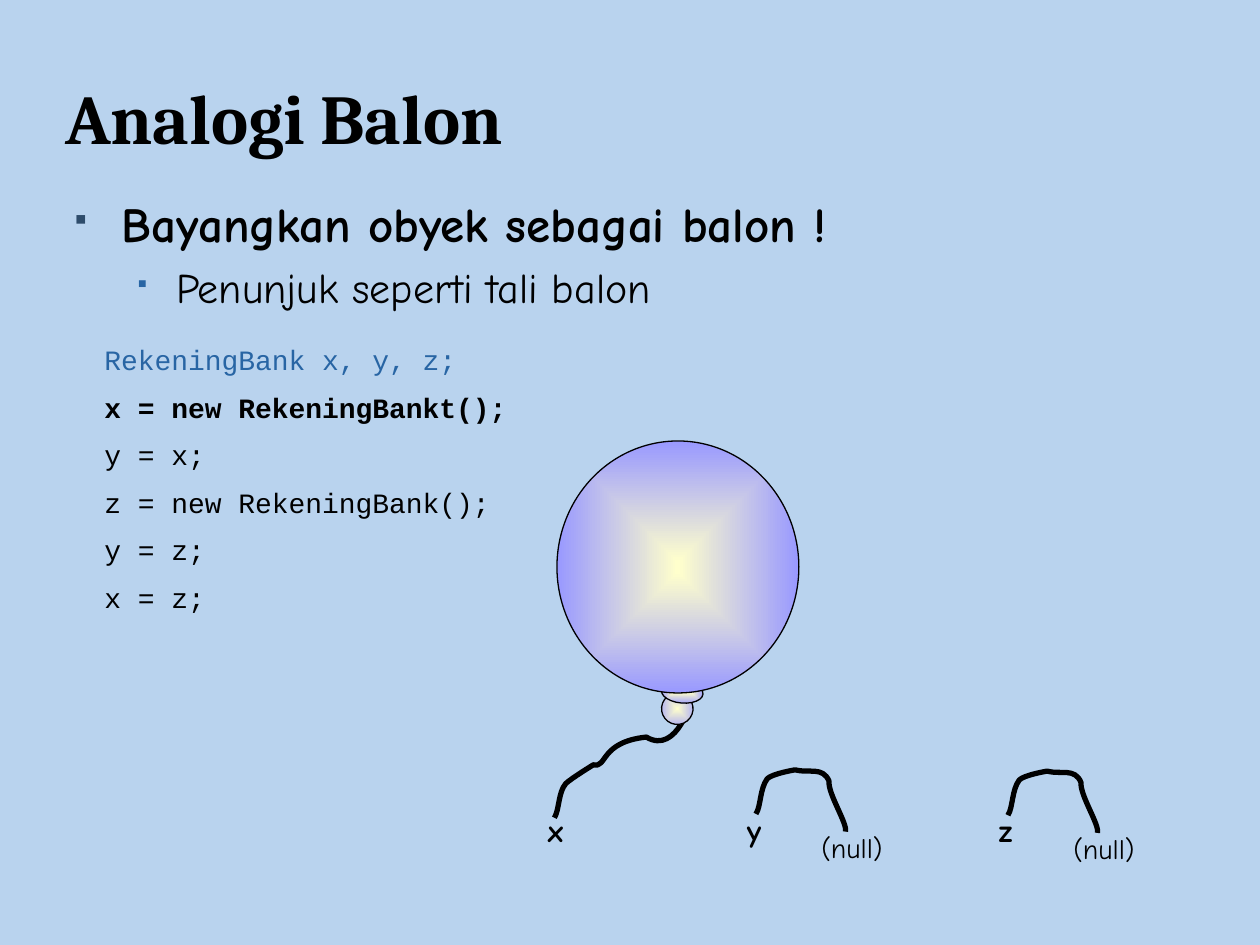
from dataclasses import dataclass

from lxml import etree
from pptx import Presentation
from pptx import util as u
from pptx.dml.color import RGBColor
from pptx.enum import shapes, text
from pptx.oxml import ns

Inches, Pt = u.Inches, u.Pt


@dataclass(frozen=True)
class Theme:
    sky: str = "B9D3EE"
    ink: str = "000000"
    bullet: str = "2E4C6B"
    accent: str = "2865A4"
    glow: str = "FFFFCC"
    rubber: str = "9999FF"
    heading: str = "Cambria"
    body: str = "Comic Neue"
    code: str = "Courier New"
    title_size: int = 40
    point_size: int = 28
    subpoint_size: int = 24
    label_size: int = 18
    small_size: int = 16


THEME = Theme()
CODE = ["RekeningBank x, y, z;", "x = new RekeningBankt();", "y = x;",
        "z = new RekeningBank();", "y = z;", "x = z;"]

# Each string is a start point followed by cubic curves (control, control, end)
BALLOON_STRING = [(4.4, 6.49),
                  (4.44, 6.43), (4.43, 6.29), (4.49, 6.22),
                  (4.53, 6.18), (4.71, 6.07), (4.71, 6.07),
                  (4.82, 6.1), (4.76, 5.89), (5.13, 5.85),
                  (5.38, 6), (5.5, 5.52), (5.47, 5.58)]
LOOSE_STRING = [(6, 6.46),
                (6.04, 6.4), (6.03, 6.26), (6.09, 6.18),
                (6.13, 6.14), (6.31, 6.11), (6.31, 6.11),
                (6.42, 6.14), (6.53, 6.08), (6.58, 6.2),
                (6.57, 6.3), (6.73, 6.54), (6.71, 6.6)]


def color(value):
    return RGBColor.from_string(value)


def add_box(slide, left, top, width, height, wrap=True, grow=False):
    box = slide.shapes.add_textbox(*map(Inches, (left, top, width, height)))
    frame = box.text_frame
    frame.word_wrap = wrap
    if grow:
        frame.auto_size = text.MSO_AUTO_SIZE.SHAPE_TO_FIT_TEXT
    return frame


def write(paragraph, words, face, size, ink=THEME.ink, bold=False):
    paragraph.text = words
    font = paragraph.font
    font.name, font.size, font.bold = face, Pt(size), bold
    font.color.rgb = color(ink)


def add_bullet(paragraph, ink, percent, margin, hang):
    props = paragraph._p.get_or_add_pPr()
    props.set("marL", str(Inches(margin)))
    props.set("indent", str(-Inches(hang)))
    tint = etree.SubElement(props, ns.qn("a:buClr"))
    etree.SubElement(tint, ns.qn("a:srgbClr"), val=ink)
    etree.SubElement(props, ns.qn("a:buSzPct"), val=str(percent * 1000))
    # This symbol font draws the section sign as a small square
    etree.SubElement(props, ns.qn("a:buFont"), typeface="Wingdings",
                     charset="2")
    etree.SubElement(props, ns.qn("a:buChar"), char="§")


def add_label(slide, words, left, top, width, height, size, bold):
    label = add_box(slide, left, top, width, height, wrap=False, grow=True)
    write(label.paragraphs[0], words, THEME.body, size, bold=bold)


def bend(outline):
    """Join every three straight segments into one cubic curve."""
    segments = outline._element.findall(".//" + ns.qn("a:lnTo"))
    for i in range(0, len(segments), 3):
        trio = segments[i:i + 3]
        curve = etree.Element(ns.qn("a:cubicBezTo"))
        trio[0].addprevious(curve)
        for segment in trio:
            curve.append(segment[0])
            segment.getparent().remove(segment)


def add_string(slide, knots, dx=0, dy=0):
    start, *rest = [(Inches(x + dx), Inches(y + dy)) for x, y in knots]
    builder = slide.shapes.build_freeform(*start)
    builder.add_line_segments(rest, close=False)
    string = builder.convert_to_shape()
    bend(string)
    string.shadow.inherit = False
    string.fill.background()
    string.line.color.rgb = color(THEME.ink)
    string.line.width = Pt(3)


def add_rubber(group, left, top, width, height, rotation=0):
    part = group.shapes.add_shape(shapes.MSO_SHAPE.OVAL,
                                  *map(Inches, (left, top, width, height)))
    part.rotation = rotation
    part.shadow.inherit = False
    part.line.color.rgb = color(THEME.ink)
    part.line.width = Pt(0.75)
    part.fill.gradient()
    for stop, tint in zip(part.fill.gradient_stops, (THEME.glow, THEME.rubber)):
        stop.color.rgb = color(tint)
    # Spread the gradient outwards from the centre
    linear = part._element.spPr.find(".//" + ns.qn("a:lin"))
    radial = etree.Element(ns.qn("a:path"), path="shape")
    etree.SubElement(radial, ns.qn("a:fillToRect"),
                     **dict.fromkeys("ltrb", "50000"))
    linear.getparent().replace(linear, radial)


def add_heading(slide):
    title = add_box(slide, 0.42, 0.3, 9.27, 1.25)
    title.vertical_anchor = text.MSO_ANCHOR.MIDDLE
    write(title.paragraphs[0], "Analogi Balon", THEME.heading,
          THEME.title_size, bold=True)


def add_points(slide):
    points = add_box(slide, 0.49, 1.49, 9, 1.75)
    point, subpoint = points.paragraphs[0], points.add_paragraph()
    subpoint.level = 1
    subpoint.space_before = Pt(5)
    add_bullet(point, THEME.bullet, 60, 0.38, 0.38)
    add_bullet(subpoint, THEME.accent, 55, 0.81, 0.31)
    write(point, "Bayangkan obyek sebagai balon !", THEME.body,
          THEME.point_size, bold=True)
    write(subpoint, "Penunjuk seperti tali balon", THEME.body,
          THEME.subpoint_size)


def add_code(slide):
    listing = add_box(slide, 0.73, 2.67, 3.75, 2.37, grow=True)
    for i, statement in enumerate(CODE):
        line = listing.add_paragraph() if i else listing.paragraphs[0]
        if i:
            line.space_before = Pt(8)
        write(line, statement, THEME.code, THEME.small_size,
              ink=THEME.ink if i else THEME.accent, bold=i == 1)


def main():
    deck = Presentation()
    deck.slide_width, deck.slide_height = Inches(10), Inches(7.5)
    slide = deck.slides.add_slide(deck.slide_layouts[6])
    slide.background.fill.solid()
    slide.background.fill.fore_color.rgb = color(THEME.sky)

    # Heading and points
    add_points(slide)
    add_heading(slide)

    # Variable names
    for name, left in (("x", 4.25), ("y", 5.83), ("z", 7.83)):
        add_label(slide, name, left, 6.39, 0.35, 0.4, THEME.label_size, True)

    # Strings: x holds the balloon, y and z hold nothing
    add_string(slide, BALLOON_STRING)
    for dx, dy in ((0, 0), (2, 0.01)):
        add_string(slide, LOOSE_STRING, dx, dy)
        add_label(slide, "(null)", 6.42 + dx, 6.54 + dy, 0.72, 0.37,
                  THEME.small_size, False)

    # Balloon: knot, neck and body
    balloon = slide.shapes.add_group_shape()
    add_rubber(balloon, 5.25, 5.5, 0.25, 0.25, 51.4)
    add_rubber(balloon, 5.33, 5.33, 0.17, 0.33, 94.9)
    add_rubber(balloon, 4.42, 3.5, 1.92, 2)

    # Code listing
    add_code(slide)
    deck.save("out.pptx")


if __name__ == "__main__":
    main()
